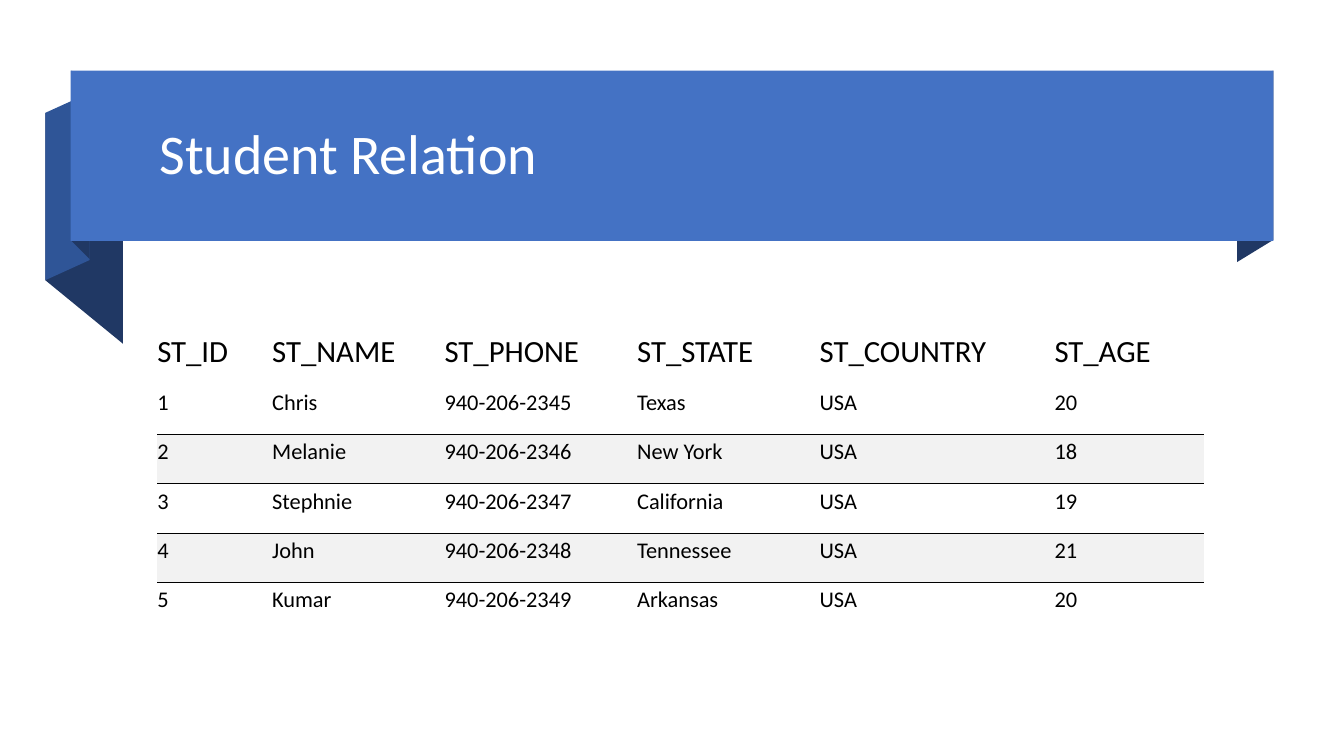
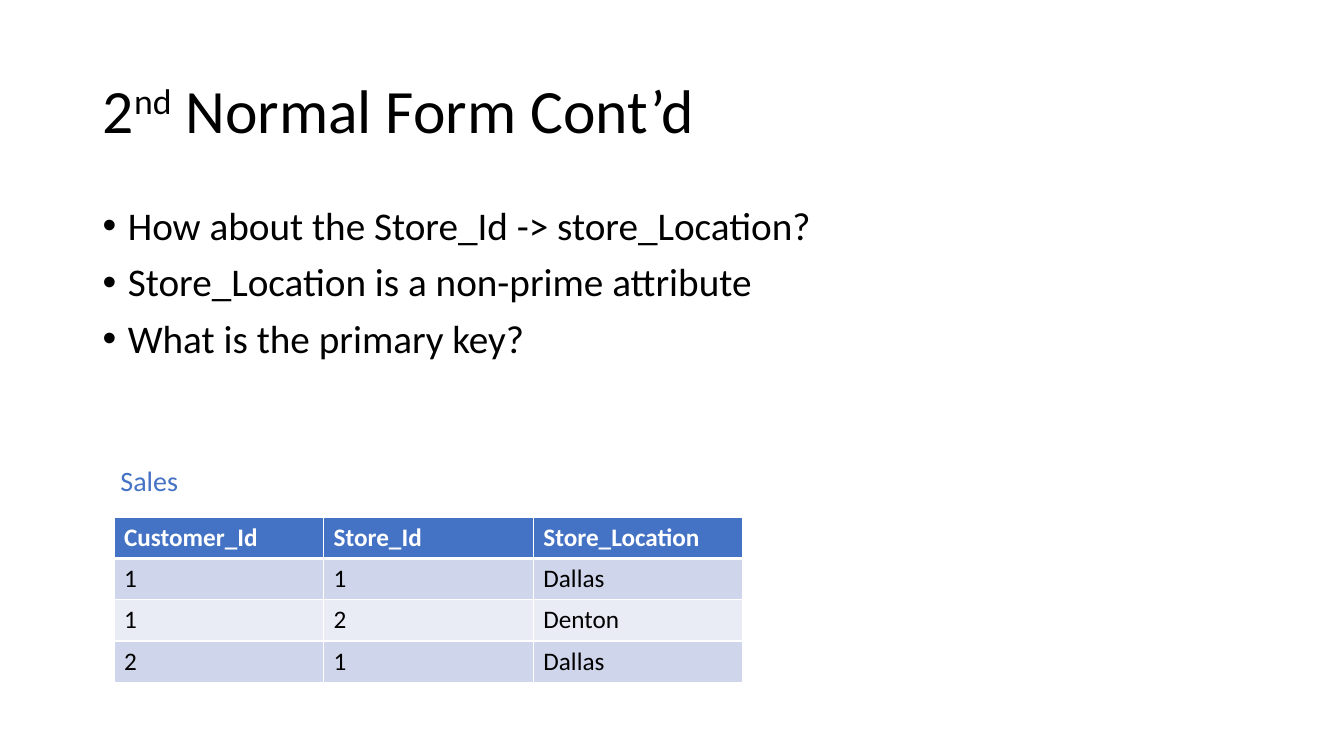
from pptx import Presentation
from pptx.dml.color import RGBColor
from pptx.enum.shapes import MSO_SHAPE
from pptx.enum.text import MSO_ANCHOR, MSO_AUTO_SIZE, PP_ALIGN
from pptx.oxml.ns import qn
from pptx.util import Inches, Pt
from lxml import etree

RECT = MSO_SHAPE.RECTANGLE
TOP, MIDDLE, BOTTOM = MSO_ANCHOR.TOP, MSO_ANCHOR.MIDDLE, MSO_ANCHOR.BOTTOM
LEFT, CENTER = PP_ALIGN.LEFT, PP_ALIGN.CENTER
NO_FIT = MSO_AUTO_SIZE.NONE

FONT = "Calibri"
BLUE, MID, NAVY = "4472C4", "2F5597", "203864"
BLACK, WHITE, GREY = "000000", "FFFFFF", "F2F2F2"
BANDS = ["CFD5EA", "E9EBF5"]
PLAIN_STYLE = "{2D5ABB26-0587-4C30-8999-92F81FD0307C}"
TITLE_ONLY = 5

# Ribbon folds, back to front: colour and corners
FOLDS = [
    (NAVY, [(12.63, 2.38), (12.27, 2.6), (12.27, 0.91), (12.63, 0.7)]),
    (NAVY, [(1.22, 3.41), (0.45, 2.78), (0.45, 1.12), (1.22, 1.75)]),
    (MID, [(0.89, 2.58), (0.45, 2.78), (0.45, 1.12), (0.89, 0.92)]),
    (NAVY, [(0.89, 2.57), (0.71, 2.39), (0.71, 0.7), (0.89, 0.89)]),
]
RIBBON = (0.7, 0.7, 11.93, 1.69)

STUDENTS = [
    ("ST_ID", "ST_NAME", "ST_PHONE", "ST_STATE", "ST_COUNTRY", "ST_AGE"),
    ("1", "Chris", "940-206-2345", "Texas", "USA", "20"),
    ("2", "Melanie", "940-206-2346", "New York", "USA", "18"),
    ("3", "Stephnie", "940-206-2347", "California", "USA", "19"),
    ("4", "John", "940-206-2348", "Tennessee", "USA", "21"),
    ("5", "Kumar", "940-206-2349", "Arkansas", "USA", "20"),
]
STUDENT_COLS = [1.14, 1.71, 1.91, 1.81, 2.33, 1.48]

POINTS = [
    "How about the Store_Id -> store_Location?",
    "Store_Location is a non-prime attribute",
    "What is the primary key?",
]
SALES = [
    ("Customer_Id", "Store_Id", "Store_Location"),
    ("1", "1", "Dallas"),
    ("1", "2", "Denton"),
    ("2", "1", "Dallas"),
]


def rgb(color):
    return RGBColor.from_string(color)


def box(*sizes):
    return [Inches(size) for size in sizes]


def paint(shape, color):
    shape.shadow.inherit = False
    shape.fill.solid()
    shape.fill.fore_color.rgb = rgb(color)
    shape.line.fill.background()


def write(para, text, size, color, bold=False, raised=False):
    run = para.add_run()
    run.text = text
    font = run.font
    font.name, font.size, font.bold = FONT, Pt(size), bold
    font.color.rgb = rgb(color)
    if raised:
        font._element.set("baseline", "30000")


def add_slide(deck, place, runs, size, color):
    """Add a slide whose title is made of (text, raised) runs."""
    slide = deck.slides.add_slide(deck.slide_layouts[TITLE_ONLY])
    title = slide.shapes.title
    title.left, title.top, title.width, title.height = box(*place)
    frame = title.text_frame
    frame.auto_size, frame.vertical_anchor = NO_FIT, MIDDLE
    para = frame.paragraphs[0]
    para.alignment, para.line_spacing = LEFT, 0.9
    for text, raised in runs:
        write(para, text, size, color, raised=raised)
    return slide


def add_text(slide, place):
    frame = slide.shapes.add_textbox(*box(*place)).text_frame
    frame.word_wrap = True
    return frame


def add_ribbon(slide):
    group = slide.shapes.add_group_shape()
    for color, corners in FOLDS:
        start, *rest = [box(*corner) for corner in corners]
        pen = group.shapes.build_freeform(*start)
        pen.add_line_segments(rest, close=True)
        paint(pen.convert_to_shape(), color)
    paint(group.shapes.add_shape(RECT, *box(*RIBBON)), BLUE)
    # Send the ribbon behind the title
    slide.shapes._spTree.insert(2, group._element)


def add_bullet(para):
    props = para._p.get_or_add_pPr()
    props.set("marL", str(Inches(0.25)))
    props.set("indent", str(-Inches(0.25)))
    etree.SubElement(props, qn("a:buFont")).set("typeface", "Arial")
    etree.SubElement(props, qn("a:buChar")).set("char", "•")


def add_edge(cell, side, color, width):
    """Draw one border; call in the order L, R, T, B and before the fill."""
    line = etree.SubElement(cell._tc.get_or_add_tcPr(), qn("a:ln" + side))
    line.set("w", str(Pt(width)))
    fill = etree.SubElement(line, qn("a:solidFill"))
    etree.SubElement(fill, qn("a:srgbClr")).set("val", color)


def add_table(slide, data, left, top, cols, rows, style):
    """Fill a table; style(cell, row) formats a cell and returns its font."""
    place = box(left, top, sum(cols), sum(rows))
    table = slide.shapes.add_table(len(rows), len(cols), *place).table
    table._tbl.tblPr.find(qn("a:tableStyleId")).text = PLAIN_STYLE
    table.horz_banding = False
    for col, width in zip(table.columns, cols):
        col.width = Inches(width)
    for r, (row, height) in enumerate(zip(data, rows)):
        table.rows[r].height = Inches(height)
        for c, text in enumerate(row):
            cell = table.cell(r, c)
            size, color, bold = style(cell, r)
            write(cell.text_frame.paragraphs[0], text, size, color, bold)


def fill_cell(cell, color):
    cell.fill.solid()
    cell.fill.fore_color.rgb = rgb(color)


def style_student(cell, row):
    head, shaded = row == 0, row in (2, 4)
    cell.margin_left, cell.margin_top = box(0, 0.03 if head else 0.04)
    cell.margin_right = cell.margin_bottom = Inches(0.14)
    cell.vertical_anchor = BOTTOM if head else TOP
    if shaded:
        add_edge(cell, "T", BLACK, 0.75)
        fill_cell(cell, GREY)
    else:
        if row in (1, 3):
            add_edge(cell, "B", BLACK, 0.75)
        cell.fill.background()
    return 22 if head else 16, BLACK, False


def style_sale(cell, row):
    head = row == 0
    widths = {"L": 1, "R": 1, "T": 3 if row == 1 else 1, "B": 3 if head else 1}
    for side, width in widths.items():
        add_edge(cell, side, WHITE, width)
    fill_cell(cell, BLUE if head else BANDS[(row - 1) % 2])
    return 18, WHITE if head else BLACK, head


def build_student(deck):
    runs = [("Student Relation", False)]
    slide = add_slide(deck, (1.48, 0.83, 10.94, 1.45), runs, 40, WHITE)
    add_ribbon(slide)
    rows = [0.56] + [0.49] * (len(STUDENTS) - 1)
    add_table(slide, STUDENTS, 1.56, 3.26, STUDENT_COLS, rows, style_student)


def build_normal(deck):
    runs = [("2", False), ("nd", True), (" Normal Form Cont’d", False)]
    slide = add_slide(deck, (0.92, 0.4, 11.5, 1.45), runs, 44, BLACK)
    frame = add_text(slide, (0.92, 2, 11.5, 1.8))
    for i, point in enumerate(POINTS):
        para = frame.add_paragraph() if i else frame.paragraphs[0]
        para.line_spacing, para.space_before = 0.9, Pt(10)
        add_bullet(para)
        write(para, point, 28, BLACK)
    cols, rows = [2.08] * len(SALES[0]), [0.41] * len(SALES)
    add_table(slide, SALES, 1.13, 5.13, cols, rows, style_sale)
    label = add_text(slide, (0.17, 4.55, 2.62, 0.44)).paragraphs[0]
    label.alignment = CENTER
    write(label, "Sales", 20, BLUE)


def main():
    deck = Presentation()
    deck.slide_width, deck.slide_height = box(13.33, 7.5)
    build_student(deck)
    build_normal(deck)
    deck.save("out.pptx")


if __name__ == "__main__":
    main()
